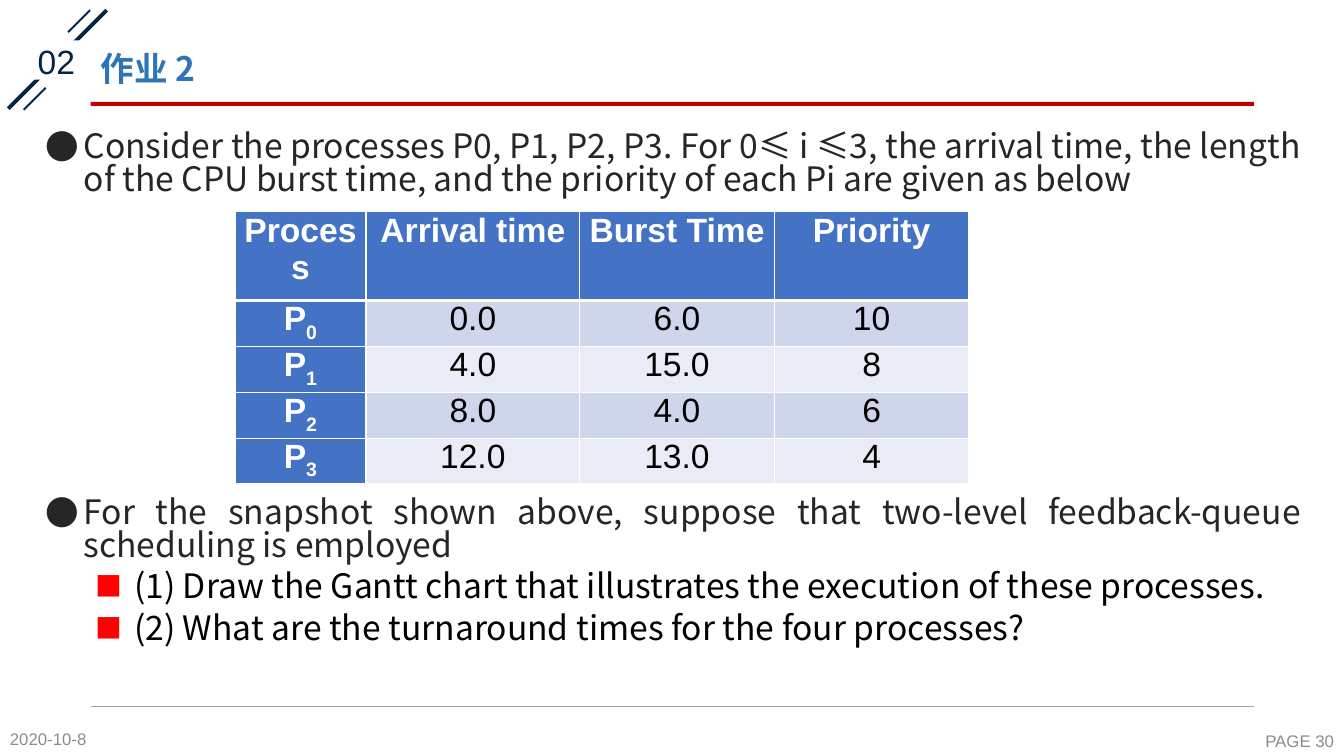
"""Build the scheduling homework slide."""
from lxml import etree
from pptx import Presentation
from pptx.dml.color import RGBColor
from pptx.enum import shapes, text
from pptx.oxml import ns
from pptx.util import Inches, Pt

COLORS = {"navy": "052547", "red": "C00000", "rule": "A6A6A6", "title": "2E75B6",
          "body": "262626", "black": "000000", "white": "FFFFFF", "footer": "8C8C8C",
          "marker": "FF0000", "head": "4472C4", "odd": "CFD5EA", "even": "E9EBF5"}
SANS, CJK = "Arial", "Noto Sans CJK SC"
LEFT, CENTER, RIGHT, JUSTIFY = (text.PP_ALIGN.LEFT, text.PP_ALIGN.CENTER,
                                text.PP_ALIGN.RIGHT, text.PP_ALIGN.JUSTIFY)
TOP, MIDDLE = text.MSO_ANCHOR.TOP, text.MSO_ANCHOR.MIDDLE

TITLE = "作业 2"
BULLETS = [
    (0, 0, "Consider the processes P0, P1, P2, P3. For 0≤ i ≤3, the arrival time, the length "
           "of the CPU burst time, and the priority of each Pi are given as below"),
    (0, 214, "For the snapshot shown above, suppose that two-level feedback-queue "
             "scheduling is employed"),
    (1, 6, "(1) Draw the Gantt chart that illustrates the execution of these processes."),
    (1, 6, "(2) What are the turnaround times for the four processes?"),
]
LEVELS = [dict(indent=0.38, mark="●", color="body", mark_color="body", mark_size=100),
          dict(indent=0.88, mark="■", color="black", mark_color="marker", mark_size=80)]
HEADINGS = ["Process", "Arrival time", "Burst Time", "Priority"]
PROCESSES = [("0.0", "6.0", "10"), ("4.0", "15.0", "8"),
             ("8.0", "4.0", "6"), ("12.0", "13.0", "4")]
COLUMNS = [1.3, 2.12, 1.93, 1.93]
HEAD_HEIGHT, ROW_HEIGHT = 0.88, 0.44
BARS = [(-0.12, 0.57, 1.38, 0.04, 315, "navy"), (0.63, 0.2, 0.31, 0.02, 315, "navy"),
        (0.19, 0.97, 0.31, 0.02, 315, "navy"), (0.9, 1.01, 11.54, 0.04, 0, "red")]
LABELS = [("02", (0.23, 0.4, 0.66, 0.39), TOP, CENTER, dict(color="navy")),
          ("2020-10-8", (0, 7.16, 1.18, 0.34), MIDDLE, LEFT, dict(size=12, color="footer")),
          ("PAGE 30", (11.89, 7.18, 1.44, 0.34), MIDDLE, RIGHT, dict(size=12, color="footer"))]


def rgb(name):
    return RGBColor.from_string(COLORS[name])


def child(parent, tag, **attributes):
    return etree.SubElement(parent, ns.qn(tag), attributes)


def write(para, words, size=24, color="black", font=SANS, bold=False, subscript=False):
    span = para.add_run()
    span.text = words
    span.font.size, span.font.bold = Pt(size), bold
    span.font.color.rgb = rgb(color)
    span.font.name = font
    properties = span.font._element
    child(properties, "a:ea", typeface=font)
    if subscript:
        properties.set("baseline", "-25000")


def place(shape, left, top, width, height):
    shape.left, shape.top = Inches(left), Inches(top)
    shape.width, shape.height = Inches(width), Inches(height)


def add_bars(page):
    for left, top, width, height, angle, color in BARS:
        bar = page.shapes.add_shape(shapes.MSO_SHAPE.RECTANGLE, Inches(left), Inches(top),
                                    Inches(width), Inches(height))
        bar.rotation = angle
        bar.shadow.inherit = False
        bar.fill.solid()
        bar.fill.fore_color.rgb = rgb(color)
        bar.line.fill.background()
    rule = page.shapes.add_connector(shapes.MSO_CONNECTOR.STRAIGHT, Inches(0.9), Inches(7.01),
                                     Inches(12.44), Inches(7.01))
    rule.line.color.rgb = rgb("rule")
    rule.line.width = Pt(0.5)
    child(rule._element.spPr, "a:effectLst")


def fill_title(title):
    place(title, 0.9, 0.4, 11.54, 0.6)
    frame = title.text_frame
    frame.auto_size = text.MSO_AUTO_SIZE.NONE
    frame.vertical_anchor = MIDDLE
    para = frame.paragraphs[0]
    para.alignment, para.line_spacing = LEFT, 0.9
    write(para, TITLE, color="title", font=CJK, bold=True)


def fill_body(body):
    place(body, 0.35, 1.22, 12.65, 5.86)
    frame = body.text_frame
    frame.auto_size = text.MSO_AUTO_SIZE.NONE
    frame.margin_top = Inches(0.09)
    for index, (level, gap, words) in enumerate(BULLETS):
        para = frame.add_paragraph() if index else frame.paragraphs[0]
        look = LEVELS[level]
        para.level, para.alignment = level, JUSTIFY
        para.line_spacing, para.space_before = 0.82, Pt(gap)
        properties = para._p.get_or_add_pPr()
        properties.set("marL", str(Inches(look["indent"])))
        properties.set("indent", str(Inches(-0.38)))
        child(child(properties, "a:buClr"), "a:srgbClr", val=COLORS[look["mark_color"]])
        child(properties, "a:buSzPct", val=str(look["mark_size"] * 1000))
        child(properties, "a:buFont", typeface=CJK)
        child(properties, "a:buChar", char=look["mark"])
        write(para, words, color=look["color"], font=CJK)


def add_labels(page):
    for words, area, anchor, alignment, look in LABELS:
        box = page.shapes.add_textbox(*map(Inches, area))
        if words == "02":
            box.fill.solid()
            box.fill.fore_color.rgb = rgb("white")
        frame = box.text_frame
        frame.word_wrap = True
        frame.vertical_anchor = anchor
        para = frame.paragraphs[0]
        para.alignment = alignment
        if words == "02":
            para.line_spacing = 0.9
        write(para, words, **look)


def style_cell(cell, color, bottom):
    properties = cell._tc.get_or_add_tcPr()
    for side, width in (("L", 1), ("R", 1), ("T", 1), ("B", bottom)):
        edge = child(properties, f"a:ln{side}", w=str(Pt(width)))
        child(child(edge, "a:solidFill"), "a:srgbClr", val=COLORS["white"])
    cell.fill.solid()
    cell.fill.fore_color.rgb = rgb(color)
    cell.margin_left = cell.margin_right = Inches(0.07)
    cell.margin_top = cell.margin_bottom = 0


def add_process_table(page):
    rows = [HEADINGS] + [("P", *values) for values in PROCESSES]
    height = HEAD_HEIGHT + ROW_HEIGHT * len(PROCESSES)
    table = page.shapes.add_table(len(rows), len(COLUMNS), Inches(2.33), Inches(2.1),
                                  Inches(sum(COLUMNS)), Inches(height)).table
    for column, width in zip(table.columns, COLUMNS):
        column.width = Inches(width)
    for r, values in enumerate(rows):
        table.rows[r].height = Inches(ROW_HEIGHT if r else HEAD_HEIGHT)
        for c, value in enumerate(values):
            heading = r == 0 or c == 0
            cell = table.cell(r, c)
            style_cell(cell, "head" if heading else "odd" if r % 2 else "even", 1 if r else 3)
            para = cell.text_frame.paragraphs[0]
            para.alignment = CENTER
            look = dict(color="white" if heading else "black", bold=heading)
            write(para, value, **look)
            if r and c == 0:
                write(para, str(r - 1), subscript=True, **look)


def main():
    deck = Presentation()
    deck.slide_width, deck.slide_height = Inches(13.33), Inches(7.5)
    page = deck.slides.add_slide(deck.slide_layouts[1])
    add_bars(page)
    fill_title(page.shapes.title)
    fill_body(page.placeholders[1])
    add_labels(page)
    add_process_table(page)
    deck.save("out.pptx")


if __name__ == "__main__":
    main()
